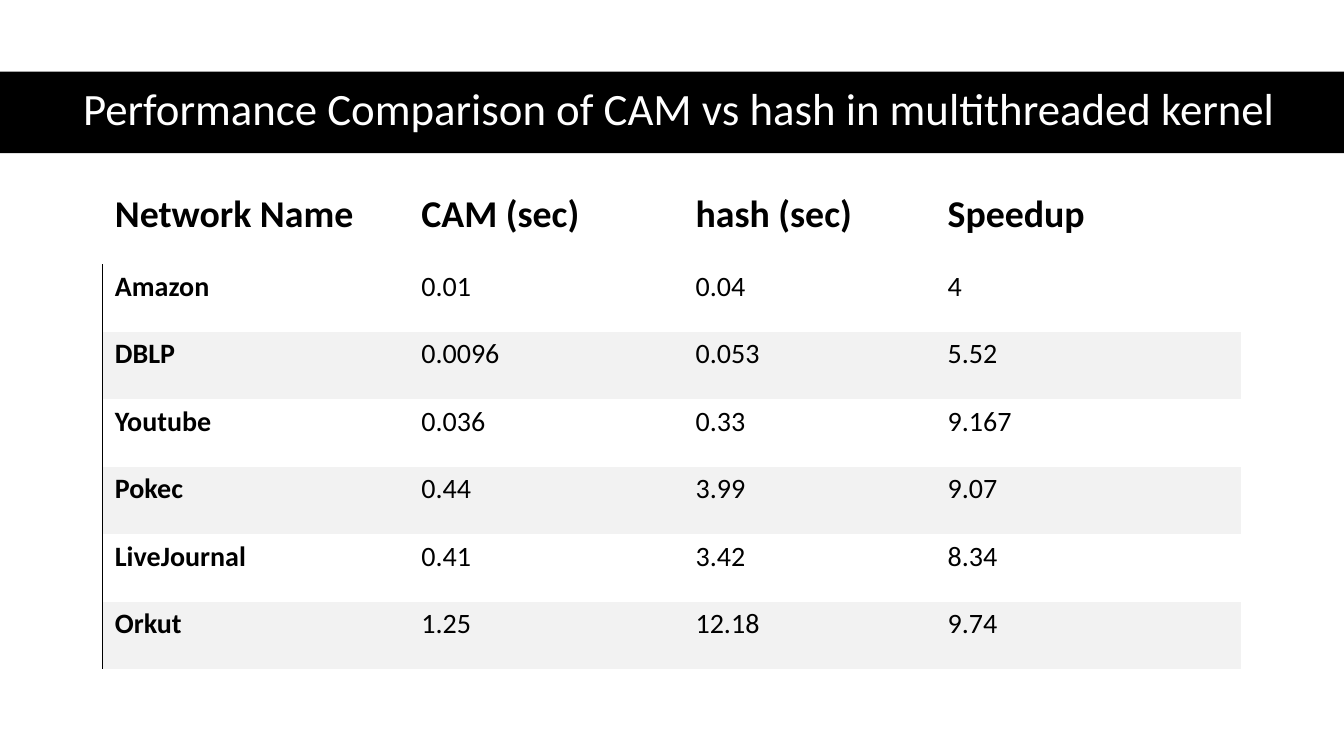
from lxml import etree
from pptx import Presentation
from pptx import util as u
from pptx.dml.color import RGBColor
from pptx.enum import shapes, text
from pptx.oxml.ns import qn

PX = 9144  # 100 px to the inch
THEME = {
    "font": "Calibri",
    "black": RGBColor(0, 0, 0),
    "white": RGBColor(255, 255, 255),
    "band": RGBColor(0xF2, 0xF2, 0xF2),
    "title_size": 32,
    "header_size": 27,
    "body_size": 20,
}
NO_STYLE_NO_GRID = "{2D5ABB26-0587-4C30-8999-92F81FD0307C}"


def px(*lengths):
    return [u.Emu(length * PX) for length in lengths]


def style_text(paragraph, size, color, bold, spacing):
    paragraph.line_spacing = spacing
    font = paragraph.runs[0].font
    font.name = THEME["font"]
    font.size = u.Pt(size)
    font.bold = bold
    font.color.rgb = color


presentation = Presentation()
presentation.slide_width, presentation.slide_height = px(1333, 750)
slide = presentation.slides.add_slide(presentation.slide_layouts[6])

# Title band
band = slide.shapes.add_shape(shapes.MSO_SHAPE.RECTANGLE, *px(0, 71, 1333, 81))
band.shadow.inherit = False
band.fill.solid()
band.fill.fore_color.rgb = THEME["black"]
band.line.fill.background()

# Title
title = slide.shapes.add_textbox(*px(61, 70, 1226, 81))
title.text_frame.word_wrap = True
title.text_frame.vertical_anchor = text.MSO_ANCHOR.MIDDLE
title.text_frame.text = "Performance Comparison of CAM vs hash in multithreaded kernel"
heading = title.text_frame.paragraphs[0]
heading.alignment = text.PP_ALIGN.CENTER
style_text(heading, THEME["title_size"], THEME["white"], False, 0.9)

# Timing table
timings = [
    ["Network Name", "CAM (sec)", "hash (sec)", "Speedup"],
    ["Amazon", "0.01", "0.04", "4"],
    ["DBLP", "0.0096", "0.053", "5.52"],
    ["Youtube", "0.036", "0.33", "9.167"],
    ["Pokec", "0.44", "3.99", "9.07"],
    ["LiveJournal", "0.41", "3.42", "8.34"],
    ["Orkut", "1.25", "12.18", "9.74"],
]
column_widths = px(304, 272, 250, 303)
header_height, body_height = px(79, 67)
table = slide.shapes.add_table(
    len(timings), len(column_widths), *px(102, 183, 1129, 481)
).table
table.first_row = table.horz_banding = False
table._tbl.tblPr.find(qn("a:tableStyleId")).text = NO_STYLE_NO_GRID
for column, width in zip(table.columns, column_widths):
    column.width = width

for row_index, values in enumerate(timings):
    is_header = row_index == 0
    table.rows[row_index].height = header_height if is_header else body_height
    for column_index, value in enumerate(values):
        cell = table.cell(row_index, column_index)
        cell.margin_left, cell.margin_top, cell.margin_right, cell.margin_bottom = px(12, 3, 13, 26)
        cell.vertical_anchor = text.MSO_ANCHOR.BOTTOM if is_header else text.MSO_ANCHOR.TOP
        cell.text_frame.text = value
        style_text(
            cell.text_frame.paragraphs[0],
            THEME["header_size"] if is_header else THEME["body_size"],
            THEME["black"],
            is_header or column_index == 0,
            1.07,
        )

        # Shade every second body row
        if not is_header and row_index % 2 == 0:
            cell.fill.solid()
            cell.fill.fore_color.rgb = THEME["band"]
        else:
            cell.fill.background()

        # Rule to the left of the network names
        if not is_header and column_index == 0:
            border = etree.Element(qn("a:lnL"), w=str(u.Pt(0.75)))
            fill = etree.SubElement(border, qn("a:solidFill"))
            etree.SubElement(fill, qn("a:srgbClr"), val=str(THEME["black"]))
            cell._tc.get_or_add_tcPr().insert(0, border)

presentation.save("out.pptx")
